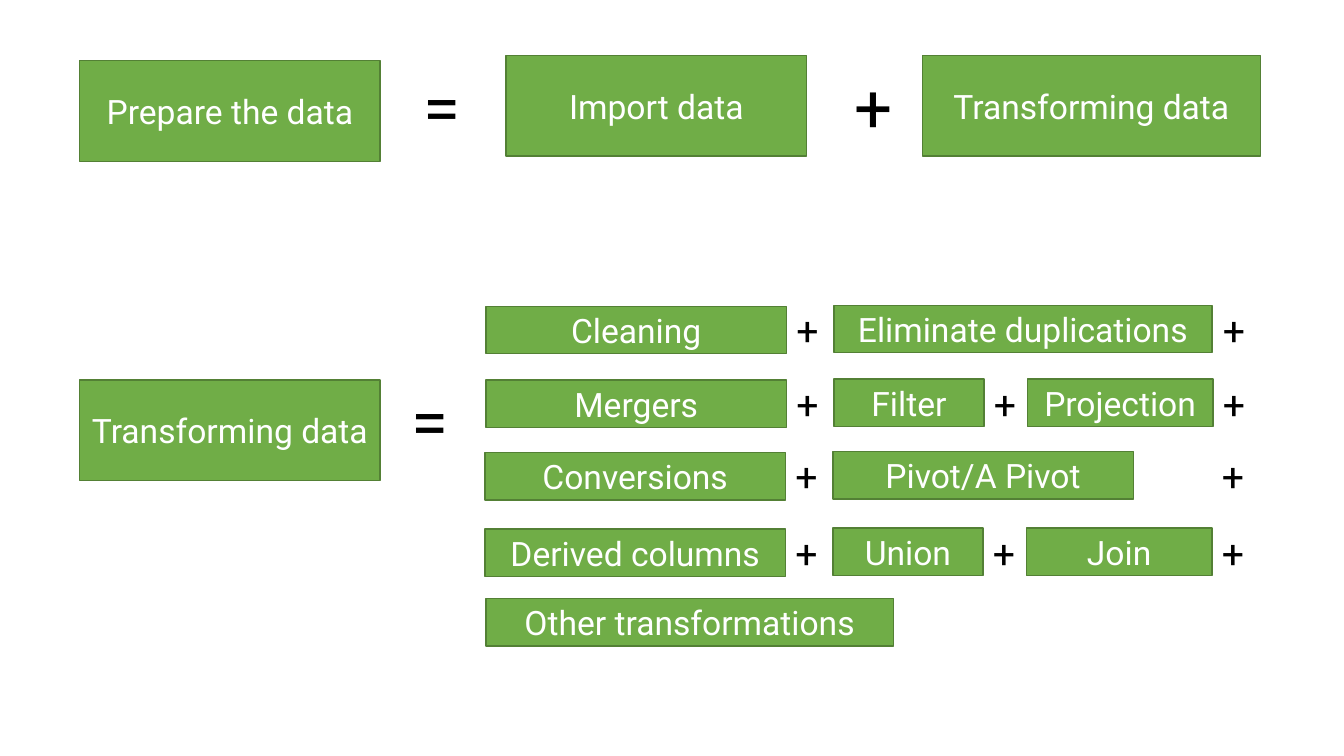
import dataclasses

import pptx
import pptx.dml.color
import pptx.enum.shapes
import pptx.enum.text
import pptx.util


@dataclasses.dataclass(frozen=True)
class Theme:
    font: str = "Roboto"
    fill: str = "70AD47"
    outline: str = "538035"
    label: str = "FFFFFF"
    sign: str = "000000"
    label_size: int = 24
    sign_size: int = 48
    small_sign_size: int = 28


THEME = Theme()
SLIDE_WIDTH, SLIDE_HEIGHT = 13.33, 7.5

TERM_COLUMN = 0.79
STEP_COLUMNS = {"first": 4.82, "second": 8.27, "third": 10.19}
SIGN_COLUMNS = {"first": 7.8, "second": 9.76, "end": 12.03}
STEP_ROWS = [3.04, 3.77, 4.49, 5.25, 5.94]
ROW_SHIFTS = [0, 0, -0.01, -0.01, 0]

STANDARD, NARROW, MEDIUM = 2.98, 1.49, 1.84
TERM_HEIGHT, STEP_HEIGHT = 1, 0.47
SIGN_BOX, SMALL_SIGN_BOX = (0.66, 0.91), (0.47, 0.57)

STEPS = [
    [("first", "Cleaning", STANDARD), ("second", "Eliminate duplications", 3.75)],
    [("first", "Mergers", STANDARD), ("second", "Filter", NARROW),
     ("third", "Projection", MEDIUM)],
    [("first", "Conversions", STANDARD), ("second", "Pivot/A Pivot", STANDARD)],
    [("first", "Derived columns", STANDARD), ("second", "Union", NARROW),
     ("third", "Join", MEDIUM)],
    [("first", "Other transformations", 4.04)],
]


def colour(code):
    return pptx.dml.color.RGBColor.from_string(code)


def inches(*lengths):
    return [pptx.util.Inches(length) for length in lengths]


def add_label(paragraph, wording, size, code):
    label = paragraph.add_run()
    label.text = wording
    label.font.name = THEME.font
    label.font.size = pptx.util.Pt(size)
    label.font.color.rgb = colour(code)


def add_term(slide, wording, left, top, width=STANDARD, height=TERM_HEIGHT):
    term = slide.shapes.add_shape(
        pptx.enum.shapes.MSO_SHAPE.RECTANGLE, *inches(left, top, width, height))
    term.shadow.inherit = False
    term.fill.solid()
    term.fill.fore_color.rgb = colour(THEME.fill)
    term.line.color.rgb = colour(THEME.outline)
    term.line.width = pptx.util.Pt(1)
    term.text_frame.vertical_anchor = pptx.enum.text.MSO_ANCHOR.MIDDLE
    paragraph = term.text_frame.paragraphs[0]
    paragraph.alignment = pptx.enum.text.PP_ALIGN.CENTER
    add_label(paragraph, wording, THEME.label_size, THEME.label)


def add_sign(slide, symbol, left, top, size=THEME.sign_size, box=SIGN_BOX):
    sign = slide.shapes.add_textbox(*inches(left, top, *box))
    sign.text_frame.word_wrap = False
    sign.text_frame.auto_size = pptx.enum.text.MSO_AUTO_SIZE.SHAPE_TO_FIT_TEXT
    add_label(sign.text_frame.paragraphs[0], symbol, size, THEME.sign)


def add_preparation(slide):
    add_term(slide, "Prepare the data", TERM_COLUMN, 0.6)
    add_sign(slide, "=", 4.1, 0.6)
    add_term(slide, "Import data", 5.02, 0.55)
    add_sign(slide, "+", 8.38, 0.6)
    add_term(slide, "Transforming data", 9.15, 0.55, width=3.35)


def add_step_row(slide, steps, top, shift):
    for column, wording, width in steps:
        raised = top if column == "first" else top - 0.01
        add_term(slide, wording, STEP_COLUMNS[column] + shift, raised,
                 width, STEP_HEIGHT)


def add_plus_row(slide, steps, top, shift):
    sign_columns = [column for column, _, _ in steps[:-1]] + ["end"]
    for column in sign_columns:
        add_sign(slide, "+", SIGN_COLUMNS[column] + shift, top - 0.05,
                 THEME.small_sign_size, SMALL_SIGN_BOX)


def add_transformation(slide):
    add_term(slide, "Transforming data", TERM_COLUMN, STEP_ROWS[1])
    add_sign(slide, "=", 3.98, 3.71)
    for steps, top, shift in zip(STEPS, STEP_ROWS, ROW_SHIFTS):
        add_step_row(slide, steps, top, shift)
        if steps is not STEPS[-1]:
            add_plus_row(slide, steps, top, shift)


def main():
    deck = pptx.Presentation()
    deck.slide_width, deck.slide_height = inches(SLIDE_WIDTH, SLIDE_HEIGHT)
    slide = deck.slides.add_slide(deck.slide_layouts[6])
    add_preparation(slide)
    add_transformation(slide)
    deck.save("out.pptx")


if __name__ == "__main__":
    main()
